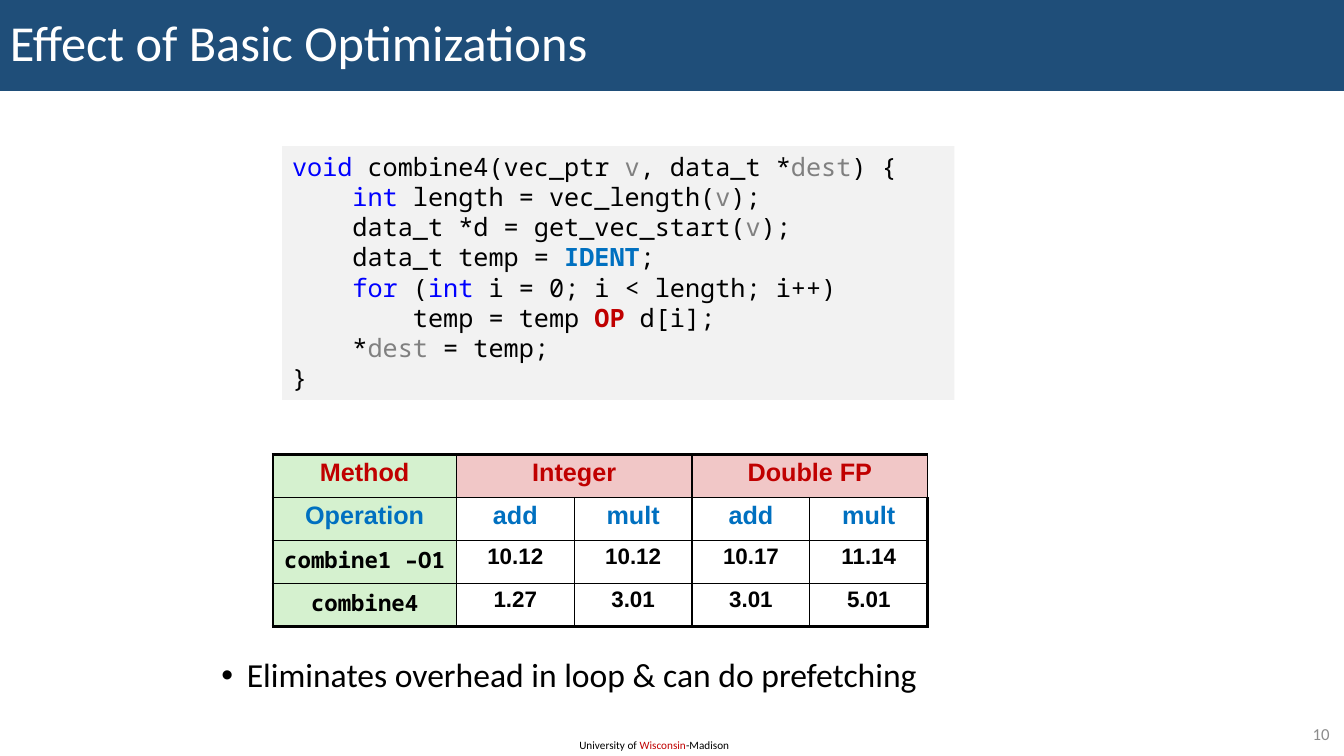
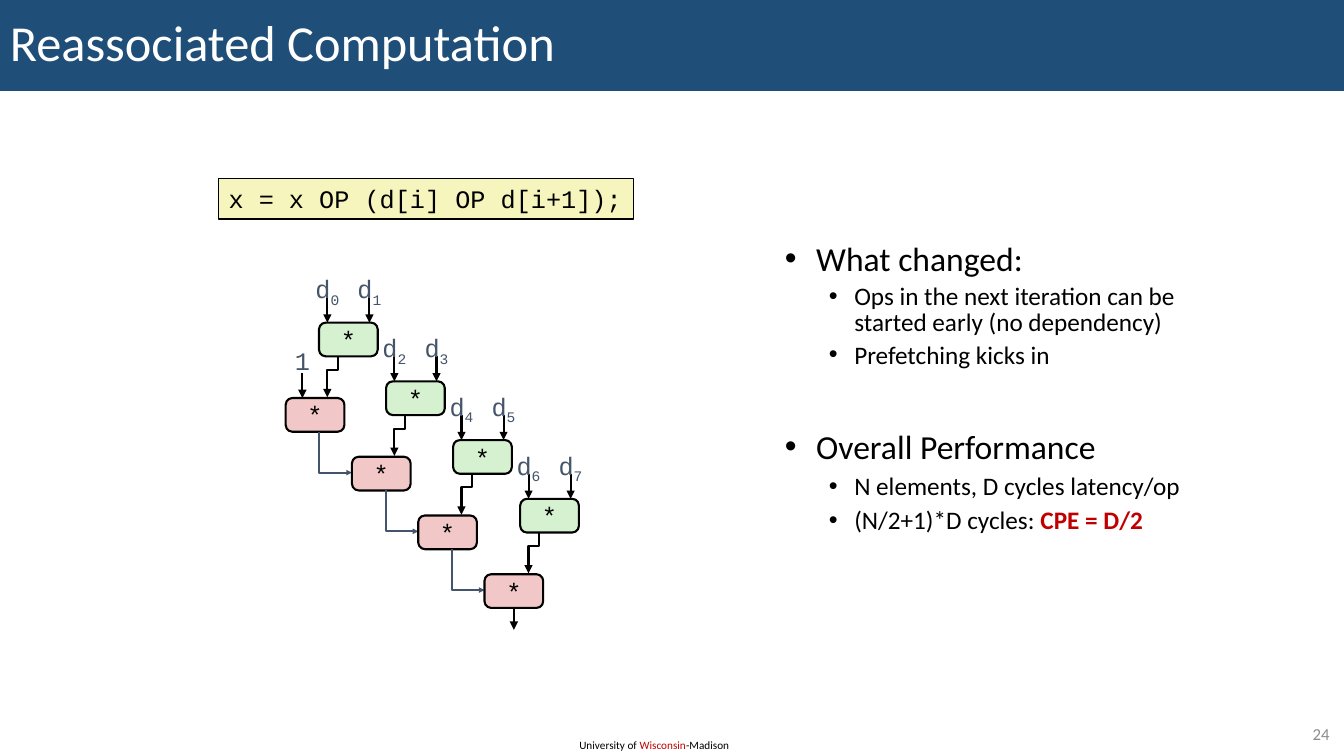
from lxml import etree
from pptx import Presentation
from pptx import util as u
from pptx.dml.color import RGBColor
from pptx.enum import shapes, text
from pptx.oxml.ns import qn

Cm, Pt = u.Cm, u.Pt
ALIGN, ANCHOR, SHAPE = text.PP_ALIGN, text.MSO_ANCHOR, shapes.MSO_SHAPE

COLORS = {
    "black": "000000", "white": "FFFFFF", "band": "1F4E79", "number": "8C8C8C",
    "red": "C00000", "blue": "0070C0", "keyword": "0000FF", "param": "808080",
    "code": "F2F2F2", "green": "D5F1CF", "pink": "F1C7C7", "yellow": "F6F5BD",
    "slate": "44546A",
}
RGB = {name: RGBColor.from_string(value) for name, value in COLORS.items()}
BODY, SANS, MONO, COURIER = "Calibri", "Arial", "Noto Sans Mono", "Courier New"


def write(p, runs, font, size, color="black"):
    """Add runs: plain strings, or (text, color, bold) tuples."""
    for run in runs:
        if isinstance(run, str):
            run = (run, color, False)
        r = p.add_run()
        r.text = run[0]
        r.font.name, r.font.size = font, Pt(size)
        r.font.color.rgb, r.font.bold = RGB[run[1]], run[2]


def arrow(s, points, color="black", head="med"):
    """Draw an arrow through points given in cm."""
    pts = [(Cm(x), Cm(y)) for x, y in points]
    if len(pts) == 2:
        sp = s.shapes.add_connector(shapes.MSO_CONNECTOR.STRAIGHT, *pts[0], *pts[1])
        etree.SubElement(sp.element.spPr, qn("a:effectLst"))
    else:
        builder = s.shapes.build_freeform(*pts[0], scale=1.0)
        builder.add_line_segments(pts[1:], close=False)
        sp = builder.convert_to_shape()
        sp.fill.background()
        sp.shadow.inherit = False
    sp.line.color.rgb, sp.line.width = RGB[color], Pt(1.5)
    ln = sp.element.spPr.find(qn("a:ln"))
    etree.SubElement(ln, qn("a:tailEnd"), type="triangle", w=head, len=head)


prs = Presentation()
prs.slide_width, prs.slide_height = Cm(33.87), Cm(19.05)

# Title band, footer and number of every slide
slides = []
for title, number in [("Effect of Basic Optimizations", "10"),
                      ("Reassociated Computation", "24")]:
    s = prs.slides.add_slide(prs.slide_layouts[6])
    slides.append(s)

    sp = s.shapes.add_shape(SHAPE.RECTANGLE, 0, 0, prs.slide_width, Cm(2.29))
    sp.shadow.inherit = False
    sp.fill.solid()
    sp.fill.fore_color.rgb = RGB["band"]
    sp.line.fill.background()
    p = sp.text_frame.paragraphs[0]
    p.alignment, p.line_spacing = ALIGN.LEFT, 0.9
    write(p, [title], BODY, 36, "white")

    tf = s.shapes.add_textbox(Cm(14.35), Cm(18.49), Cm(4.37), Cm(0.6)).text_frame
    tf.word_wrap = False
    write(tf.paragraphs[0], ["University of ", ("Wisconsin", "red", False), "-Madison"],
          BODY, 8)

    tf = s.shapes.add_textbox(Cm(31.83), Cm(18.11), Cm(1.93), Cm(0.74)).text_frame
    tf.word_wrap, tf.vertical_anchor = True, ANCHOR.MIDDLE
    tf.paragraphs[0].alignment = ALIGN.RIGHT
    write(tf.paragraphs[0], [number], BODY, 12, "number")

basic, reassociated = slides

# Bulleted text: (level, line spacing, space before, runs)
bullets = [
    (basic, (5.33, 16.48, 21.95, 1.5), 0.64, [
        (0, 0.9, 0, ["Eliminates overhead in loop & can do prefetching"]),
    ]),
    (reassociated, (19.53, 6.02, 10.97, 7.85), 0.79, [
        (0, 0.85, 0, ["What changed:"]),
        (1, 0.85, 5, ["Ops in the next iteration can be started early (no dependency)"]),
        (1, 0.85, 5, ["Prefetching kicks in"]),
        (0, 0.85, 45, ["Overall Performance"]),
        (1, 0.9, 5, ["N elements, D cycles latency/op"]),
        (1, 0.9, 5, ["(N/2+1)*D cycles: ", ("CPE = D/2", "red", True)]),
    ]),
]
for s, box, hang, items in bullets:
    tf = s.shapes.add_textbox(*map(Cm, box)).text_frame
    tf.word_wrap = True
    for i, (level, spacing, before, runs) in enumerate(items):
        p = tf.add_paragraph() if i else tf.paragraphs[0]
        left, indent = [(hang, hang), (1.75, 0.64)][level]
        pPr = p._p.get_or_add_pPr()
        pPr.set("marL", str(Cm(left)))
        pPr.set("indent", str(-Cm(indent)))
        etree.SubElement(pPr, qn("a:buFont"), typeface=SANS)
        etree.SubElement(pPr, qn("a:buChar"), char="•")
        p.level, p.line_spacing, p.space_before = level, spacing, Pt(before)
        write(p, runs, BODY, [24, 18][level])

# Code listing
v, dest = ("v", "param", False), ("dest", "param", False)
int_type = ("int", "keyword", False)
code = [
    [("void", "keyword", False), " combine4(vec_ptr ", v, ", data_t *", dest, ") {"],
    ["    ", int_type, " length = vec_length(", v, ");"],
    ["    data_t *d = get_vec_start(", v, ");"],
    ["    data_t temp = ", ("IDENT", "blue", True), ";"],
    ["    ", ("for", "keyword", False), " (", int_type, " i = 0; i < length; i++)"],
    ["        temp = temp ", ("OP", "red", True), " d[i];"],
    ["    *", dest, " = temp;"],
    ["}"],
]
sp = basic.shapes.add_textbox(Cm(7.11), Cm(3.68), Cm(16.94), Cm(6.4))
sp.fill.solid()
sp.fill.fore_color.rgb = RGB["code"]
tf = sp.text_frame
tf.word_wrap = True
for i, runs in enumerate(code):
    p = tf.add_paragraph() if i else tf.paragraphs[0]
    write(p, runs, MONO, 18)

# Table of cycles per element
rows = [
    ["Method", "Integer", "", "Double FP", ""],
    ["Operation", "add", "mult", "add", "mult"],
    ["combine1 –O1", "10.12", "10.12", "10.17", "11.14"],
    ["combine4", "1.27", "3.01", "3.01", "5.01"],
]
last_row, last_col = len(rows) - 1, len(rows[0]) - 1
tbl = basic.shapes.add_table(len(rows), len(rows[0]), Cm(6.88), Cm(11.46),
                             Cm(16.5), Cm(4.32)).table
tbl.first_row = tbl.horz_banding = False
for j, col in enumerate(tbl.columns):
    col.width = Cm(2.97 if j else 4.62)
for j in (1, 3):
    tbl.cell(0, j).merge(tbl.cell(0, j + 1))
for i, row in enumerate(rows):
    tbl.rows[i].height = Cm(1.08)
    for j, value in enumerate(row):
        cell = tbl.cell(i, j)
        cell.margin_left = cell.margin_right = Cm(0.13)
        cell.margin_top = cell.margin_bottom = Cm(0.13)
        # Thick outer edge, thin inner lines
        edges = {"a:lnL": j == 0, "a:lnR": j == last_col,
                 "a:lnT": i == 0, "a:lnB": i == last_row}
        for tag, outer in edges.items():
            ln = etree.SubElement(cell._tc.get_or_add_tcPr(), qn(tag),
                                  w=str(Pt(2.25 if outer else 1)))
            fill = etree.SubElement(ln, qn("a:solidFill"))
            etree.SubElement(fill, qn("a:srgbClr"), val=COLORS["black"])
        cell.fill.solid()
        cell.fill.fore_color.rgb = RGB["green" if j == 0 else "white" if i else "pink"]
        if value:
            p = cell.text_frame.paragraphs[0]
            p.alignment, p.line_spacing = ALIGN.CENTER, 0.95
            color = ["red", "blue", "black", "black"][i]
            write(p, [(value, color, True)], MONO if i > 1 and j == 0 else SANS,
                  18 if i < 2 else 16)

# Statement above the diagram
s = reassociated
sp = s.shapes.add_textbox(Cm(5.51), Cm(4.5), Cm(10.46), Cm(1.02))
sp.fill.solid()
sp.fill.fore_color.rgb = RGB["yellow"]
sp.line.color.rgb, sp.line.width = RGB["black"], Pt(1)
tf = sp.text_frame
tf.word_wrap = False
write(tf.paragraphs[0], ["x = x OP (d[i] OP d[i+1]);"], COURIER, 18)

# Operations: each pair product (green) feeds the running product (pink)
STEPS, NODE_W, NODE_H, DROP = 4, 1.48, 0.85, 1.48
inputs = [(["1"], 7.62, 10.03, 1.47)]  # runs, arrow x, arrow tip y, label height
for i in range(STEPS):
    pair_x, pair_y = 8.04 + 1.69 * i, 8.13 + DROP * i
    total_x, total_y = 7.2 + 1.67 * i, 10.03 + DROP * i
    for x, y, color in [(pair_x, pair_y, "green"), (total_x, total_y, "pink")]:
        sp = s.shapes.add_shape(SHAPE.ROUNDED_RECTANGLE, Cm(x), Cm(y),
                                Cm(NODE_W), Cm(NODE_H))
        sp.adjustments[0] = 0.2
        sp.shadow.inherit = False
        sp.fill.solid()
        sp.fill.fore_color.rgb = RGB[color]
        sp.line.color.rgb, sp.line.width = RGB["black"], Pt(1.5)
        tf = sp.text_frame
        tf.word_wrap, tf.vertical_anchor = False, ANCHOR.MIDDLE
        tf.paragraphs[0].alignment = ALIGN.CENTER
        write(tf.paragraphs[0], ["*"], COURIER, 18)

    inputs += [(["d", str(2 * i + k)], pair_x + 0.21 + 1.06 * k, pair_y, 1.36)
               for k in range(2)]
    start, end, bend = pair_x + 0.47, pair_x + 0.21, pair_y + 1.19
    arrow(s, [(start, pair_y + NODE_H), (start, bend), (end, bend), (end, pair_y + 1.88)])
    if i < STEPS - 1:
        x, y = total_x + 0.85, total_y + 1.88
        arrow(s, [(x, total_y + NODE_H), (x, y), (total_x + 1.67, y)], "slate", "sm")
    else:
        x = total_x + NODE_W / 2
        arrow(s, [(x, total_y + NODE_H), (x, total_y + 1.4)])

# Inputs with their labels
for runs, x, y, lift in inputs:
    arrow(s, [(x, y - 0.63), (x, y)])
    tf = s.shapes.add_textbox(Cm(x - 0.45), Cm(y - lift), Cm(0.9), Cm(1.02)).text_frame
    tf.margin_left = tf.margin_right = tf.margin_top = tf.margin_bottom = Cm(0.13)
    tf.word_wrap = False
    p = tf.paragraphs[0]
    p.alignment = ALIGN.CENTER
    write(p, runs, COURIER, 18, "slate")
    for r in p.runs[1:]:
        r._r.get_or_add_rPr().set("baseline", "-25000")

prs.save("out.pptx")
